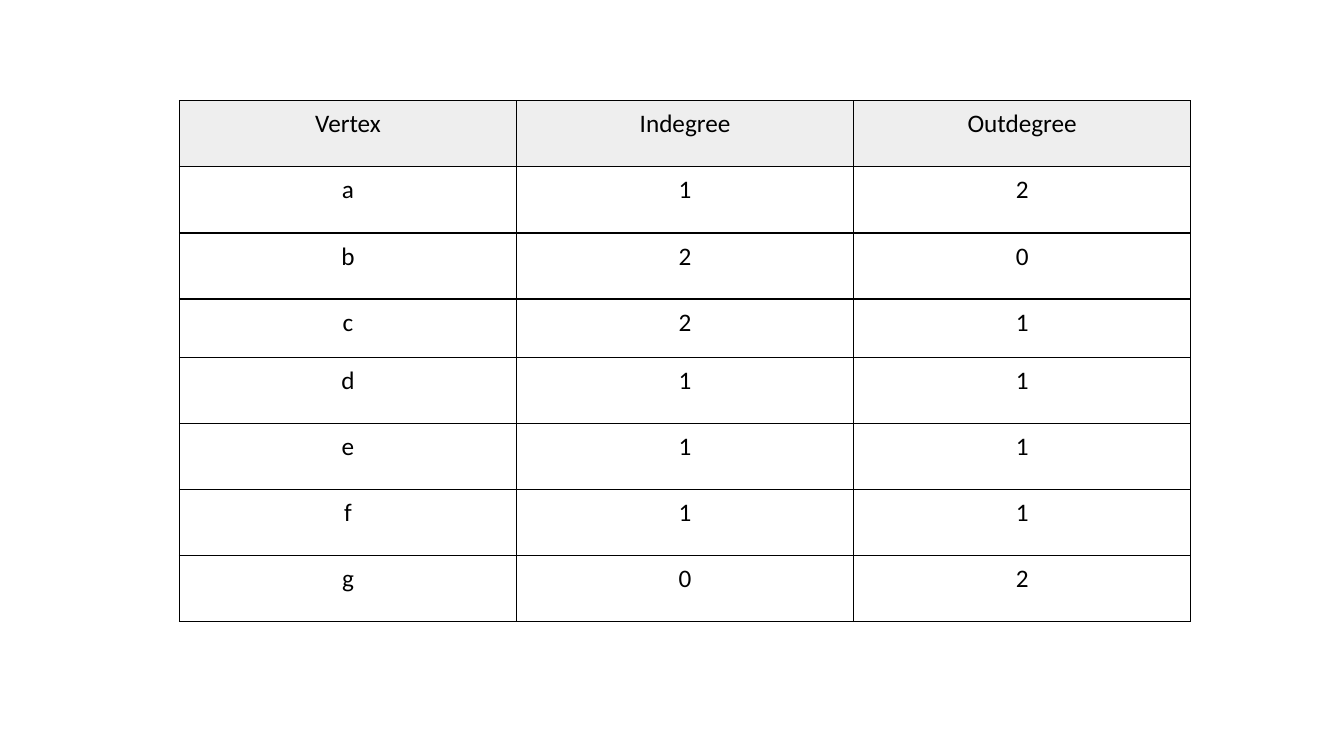
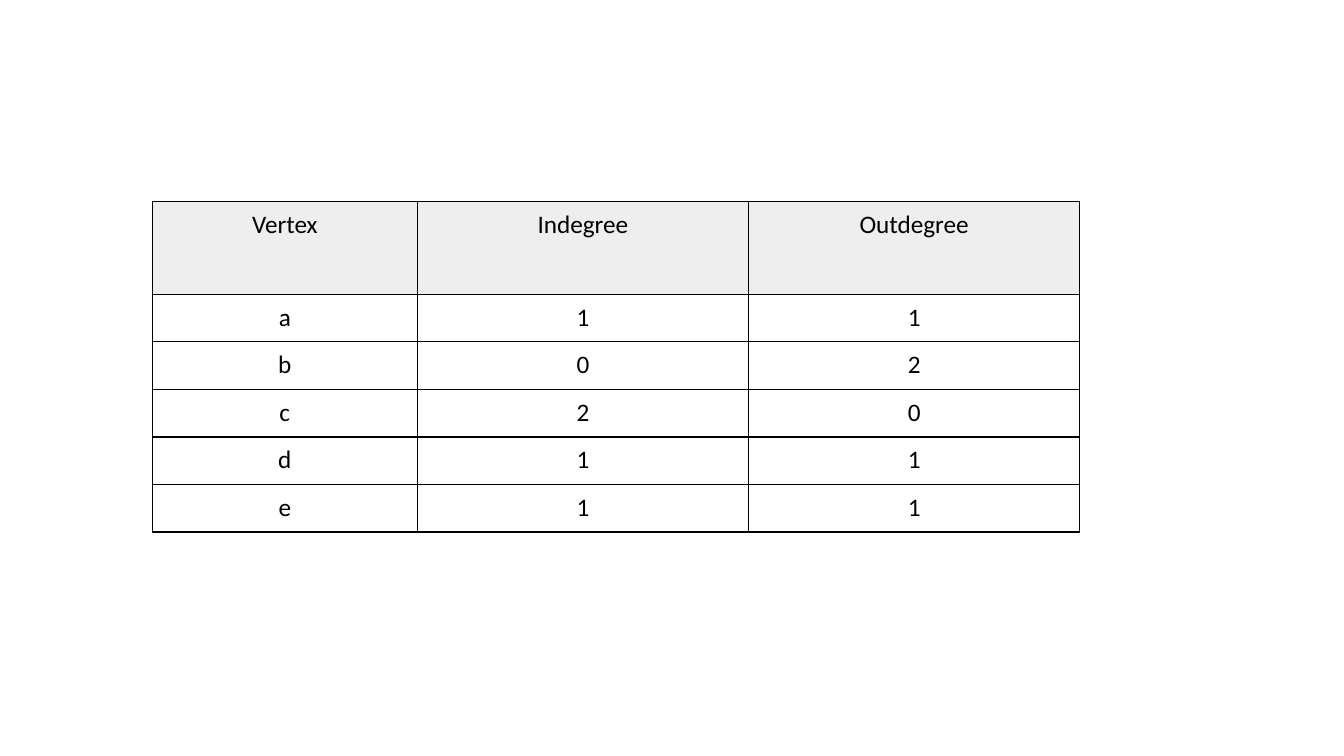
from dataclasses import dataclass, field

from lxml import etree
from pptx import Presentation
from pptx.dml.color import RGBColor
from pptx.enum.text import PP_ALIGN
from pptx.oxml.ns import qn
from pptx.slide import Slide
from pptx.table import _Cell
from pptx.util import Inches, Pt

CENTER = PP_ALIGN.CENTER
FONT = "Calibri"
TEXT_SIZE = Pt(18)
INK = "000000"
HEADER_FILL = "EEEEEE"
CELL_MARGIN = Inches(0.08)
BORDER_WIDTH = Pt(1)
BLANK_LAYOUT = 6
HEADERS = ("Vertex", "Indegree", "Outdegree")


@dataclass
class DegreeTable:
    left: float
    top: float
    width: float
    height: float
    degrees: list[tuple[str, int, int]]
    fixed_columns: dict[int, float] = field(default_factory=dict)
    fixed_rows: dict[int, float] = field(default_factory=dict)


DEGREE_TABLES = [
    DegreeTable(
        1.78, 1, 10.03, 5.17,
        [("a", 1, 2), ("b", 2, 0), ("c", 2, 1), ("d", 1, 1),
         ("e", 1, 1), ("f", 1, 1), ("g", 0, 2)],
        fixed_rows={3: 0.58},
    ),
    DegreeTable(
        1.51, 2, 9.2, 3.28,
        [("a", 1, 1), ("b", 0, 2), ("c", 2, 0), ("d", 1, 1), ("e", 1, 1)],
        fixed_columns={0: 2.63},
        fixed_rows={0: 0.92},
    ),
]


def color(hex_value: str) -> RGBColor:
    return RGBColor.from_string(hex_value)


def split_length(total: float, count: int, fixed: dict[int, float]) -> list[float]:
    """Share what the fixed parts leave over equally among the other parts."""
    share = (total - sum(fixed.values())) / (count - len(fixed))
    return [fixed.get(index, share) for index in range(count)]


def add_borders(cell: _Cell) -> None:
    properties = cell._tc.get_or_add_tcPr()
    for side in ("a:lnL", "a:lnR", "a:lnT", "a:lnB"):
        line = etree.SubElement(properties, qn(side), w=str(BORDER_WIDTH))
        fill = etree.SubElement(line, qn("a:solidFill"))
        etree.SubElement(fill, qn("a:srgbClr"), val=INK)


def format_cell(cell: _Cell, text: str, is_header: bool) -> None:
    cell.margin_left = cell.margin_right = CELL_MARGIN
    cell.margin_top = cell.margin_bottom = CELL_MARGIN
    add_borders(cell)
    if is_header:
        cell.fill.solid()
        cell.fill.fore_color.rgb = color(HEADER_FILL)
    else:
        cell.fill.background()
    cell.text_frame.text = text
    paragraph = cell.text_frame.paragraphs[0]
    paragraph.alignment = CENTER
    for run in paragraph.runs:
        run.font.name = FONT
        run.font.size = TEXT_SIZE
        run.font.bold = False
        run.font.color.rgb = color(INK)


def add_degree_table(slide: Slide, spec_table: DegreeTable) -> None:
    records = [HEADERS, *spec_table.degrees]
    table = slide.shapes.add_table(
        len(records), len(HEADERS),
        Inches(spec_table.left), Inches(spec_table.top),
        Inches(spec_table.width), Inches(spec_table.height),
    ).table
    table.first_row = table.horz_banding = False

    widths = split_length(spec_table.width, len(HEADERS), spec_table.fixed_columns)
    for column, width in zip(table.columns, widths):
        column.width = Inches(width)

    heights = split_length(spec_table.height, len(records), spec_table.fixed_rows)
    for index, (row, height, record) in enumerate(zip(table.rows, heights, records)):
        row.height = Inches(height)
        for cell, value in zip(row.cells, record):
            format_cell(cell, str(value), is_header=index == 0)


def main() -> None:
    presentation = Presentation()
    presentation.slide_width = Inches(13.33)
    presentation.slide_height = Inches(7.5)
    for degree_table in DEGREE_TABLES:
        slide = presentation.slides.add_slide(presentation.slide_layouts[BLANK_LAYOUT])
        add_degree_table(slide, degree_table)
    presentation.save("out.pptx")


if __name__ == "__main__":
    main()
